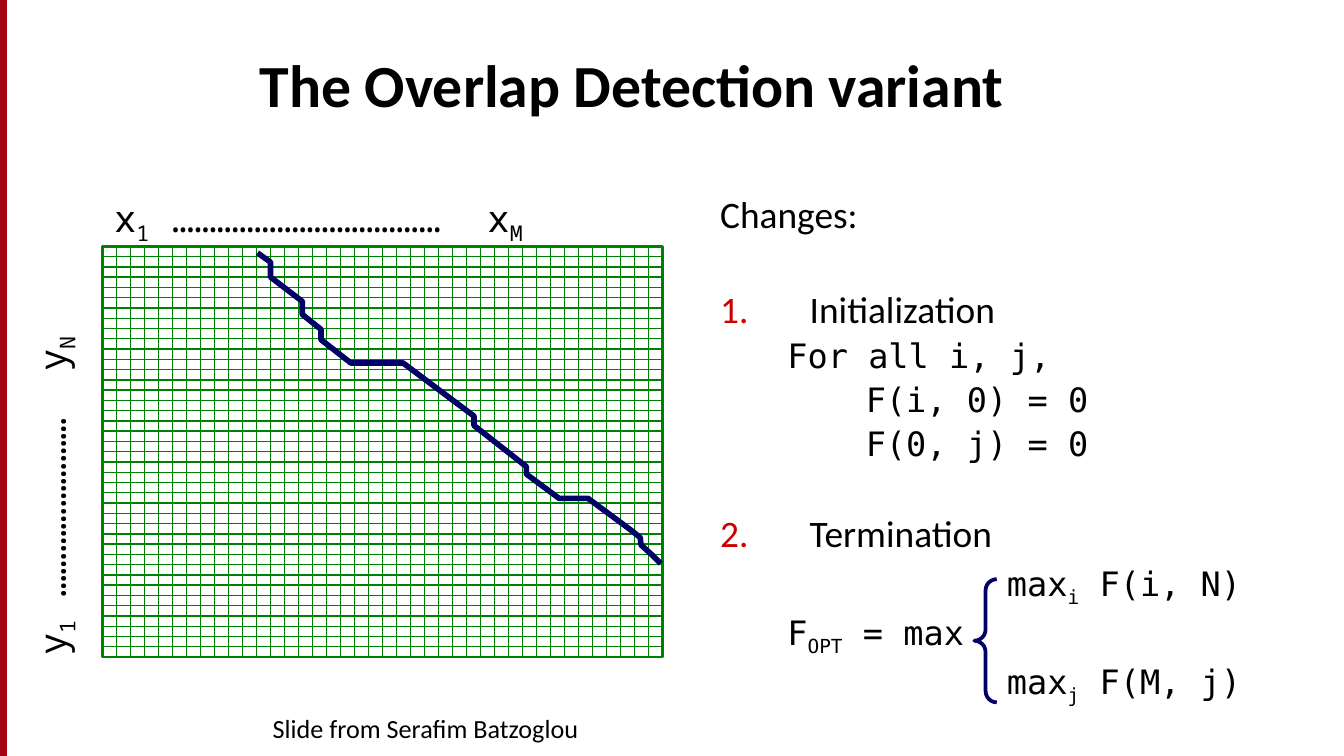
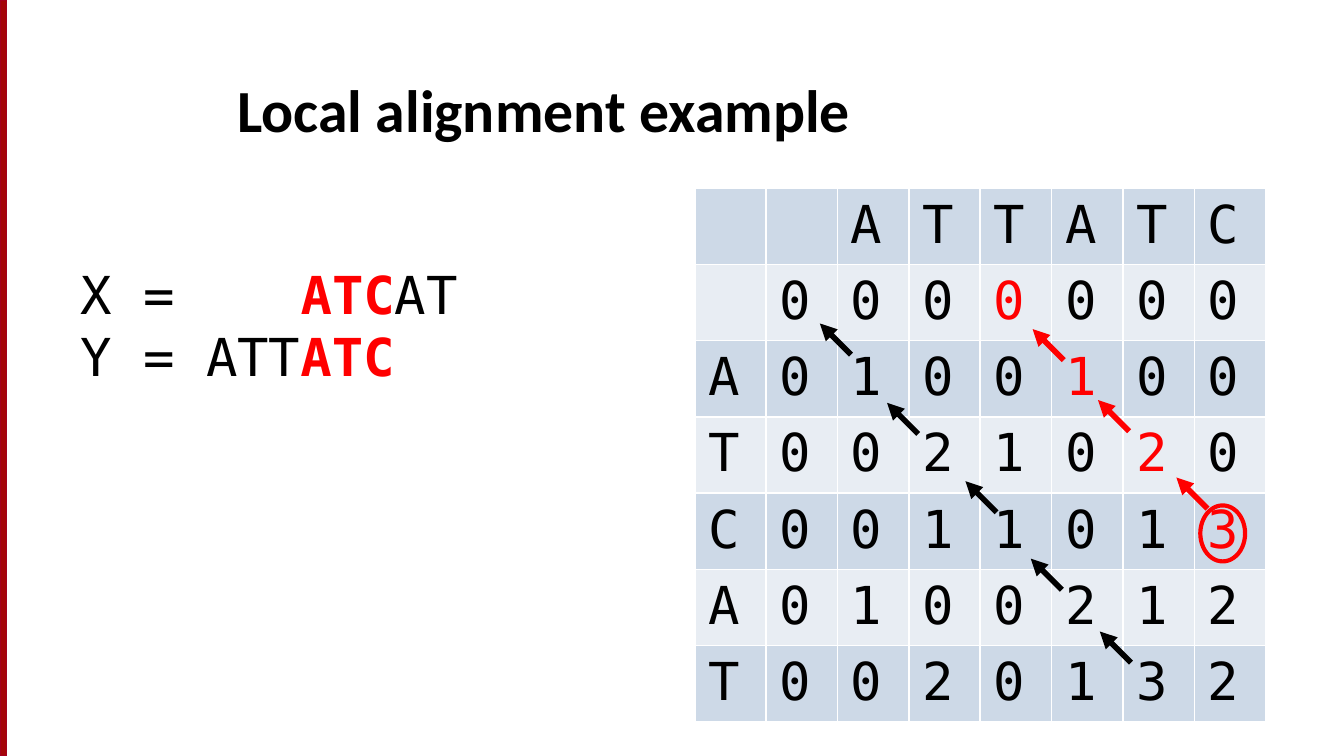
from lxml import etree
from pptx import Presentation
from pptx.dml.color import RGBColor
from pptx.enum.shapes import MSO_CONNECTOR, MSO_SHAPE
from pptx.enum.text import MSO_ANCHOR, PP_ALIGN
from pptx.oxml.ns import qn
from pptx.util import Pt

BLACK = RGBColor(0x00, 0x00, 0x00)
WHITE = RGBColor(0xFF, 0xFF, 0xFF)
RED = RGBColor(0xFF, 0x00, 0x00)
NUMBER_RED = RGBColor(0xCC, 0x00, 0x00)
BAND_FILL = RGBColor(0xA4, 0x05, 0x08)
BAND_LINE = RGBColor(0xA4, 0x00, 0x1D)
GREEN = RGBColor(0x00, 0x80, 0x00)
NAVY = RGBColor(0x00, 0x00, 0x66)
ROW_DARK = RGBColor(0xCD, 0xD9, 0xE7)
ROW_LIGHT = RGBColor(0xE8, 0xED, 0xF3)

RECTANGLE, ELLIPSE, LEFT_BRACE = MSO_SHAPE.RECTANGLE, MSO_SHAPE.OVAL, MSO_SHAPE.LEFT_BRACE
STRAIGHT = MSO_CONNECTOR.STRAIGHT
TOP, BOTTOM = MSO_ANCHOR.TOP, MSO_ANCHOR.BOTTOM
LEFT, CENTER = PP_ALIGN.LEFT, PP_ALIGN.CENTER

SANS, CODE, AXIS = "Calibri", "DejaVu Sans Mono", "Noto Sans Mono"
SLIDE_WIDTH, SLIDE_HEIGHT = 720, 405
GRID_CELLS = 40
ARROW_REACH = 16.7

# Alignment path, from the lower right, relative to the grid
PATH = [(299, 170), (294, 165), (288.5, 160), (288, 156), (283, 152), (260, 135),
        (244.5, 135), (227, 122), (227, 118), (199, 96), (199, 91), (161, 62.5),
        (133, 62.5), (117, 50), (117, 44.5), (107, 36.5), (107, 29.5), (90, 16.5),
        (90, 8.5), (83, 3.5)]

SCORES = ["  ATTATC", " 0000000", "A0100100", "T0021020", "C0011013", "A0100212", "T0020132"]
BEST_CELLS = {(1, 4), (2, 5), (3, 6), (4, 7)}
# Arrow tips, relative to the table
RED_TIPS = [(258, 155), (216, 113.5), (181, 75.5)]
BLACK_TIPS = [(217, 237.5), (180, 198.5), (145, 157), (103, 115), (67, 72.5)]


def add_run(paragraph, text, font, size, color=BLACK, bold=False, subscript=False):
    run = paragraph.add_run()
    run.text = text
    run.font.name, run.font.size, run.font.bold = font, Pt(size), bold
    run.font.color.rgb = color
    if subscript:
        run.font._element.set("baseline", "-25000")


def add_text_box(slide, box, anchor=TOP):
    shape = slide.shapes.add_textbox(*map(Pt, box))
    shape.text_frame.word_wrap = True
    shape.text_frame.vertical_anchor = anchor
    return shape


def add_child(parent, tag, **attributes):
    child = etree.SubElement(parent, qn(tag))
    for name, value in attributes.items():
        child.set(name, str(value))
    return child


def set_indent(paragraph, left, number=None):
    """Indent a paragraph; a number hangs in the indent."""
    properties = paragraph._p.get_or_add_pPr()
    properties.set("marL", str(Pt(left)))
    properties.set("indent", str(Pt(-left) if number else 0))
    if number:
        add_child(add_child(properties, "a:buClr"), "a:srgbClr", val=NUMBER_RED)
        add_child(properties, "a:buAutoNum", type="arabicPeriod", startAt=number)


def set_tab(paragraph, position):
    tabs = add_child(paragraph._p.get_or_add_pPr(), "a:tabLst")
    add_child(tabs, "a:tab", pos=Pt(position), algn="l")


def style_outline(shape, color, width, fill=None):
    shape.shadow.inherit = False
    if fill is None:
        shape.fill.background()
    else:
        shape.fill.solid()
        shape.fill.fore_color.rgb = fill
    shape.line.color.rgb, shape.line.width = color, Pt(width)


def add_outline(slide, kind, box, color, width, fill=None):
    shape = slide.shapes.add_shape(kind, *map(Pt, box))
    style_outline(shape, color, width, fill)
    return shape


def add_line(slide, start, end, color, width, arrow=False):
    line = slide.shapes.add_connector(STRAIGHT, *map(Pt, start + end))
    line.line.color.rgb, line.line.width = color, Pt(width)
    if arrow:
        add_child(line.line._get_or_add_ln(), "a:tailEnd", type="triangle")
    add_child(line._element.spPr, "a:effectLst")


def start_slide(presentation, title, title_box):
    """Blank slide with the red edge band and a title."""
    slide = presentation.slides.add_slide(presentation.slide_layouts[6])
    add_outline(slide, RECTANGLE, (0, 0, 3.5, SLIDE_HEIGHT), BAND_LINE, 0.75, BAND_FILL)
    shape = add_text_box(slide, title_box, BOTTOM)
    add_run(shape.text_frame.paragraphs[0], title, SANS, 32, bold=True)
    return slide


def add_grid(slide, box):
    left, top, width, height = box
    right, bottom = left + width, top + height
    add_outline(slide, RECTANGLE, box, GREEN, 1.5)
    for index in range(1, GRID_CELLS):
        x = left + width * index / GRID_CELLS
        y = top + height * index / GRID_CELLS
        add_line(slide, (left, y), (right, y), GREEN, 0.75)
        add_line(slide, (x, top), (x, bottom), GREEN, 0.75)
    # Alignment path
    points = [(Pt(left + x), Pt(top + y)) for x, y in PATH]
    builder = slide.shapes.build_freeform(*points[0])
    builder.add_line_segments(points[1:], close=False)
    style_outline(builder.convert_to_shape(), NAVY, 3)


def add_axis_label(slide, box, letter, last, dots, tab, rotation=0):
    shape = add_text_box(slide, box)
    shape.rotation = rotation
    paragraph = shape.text_frame.paragraphs[0]
    set_tab(paragraph, tab)
    add_run(paragraph, letter, AXIS, 20)
    add_run(paragraph, "1", AXIS, 20, subscript=True)
    add_run(paragraph, " " + "…" * dots + "\t" + letter, AXIS, 20)
    add_run(paragraph, last, AXIS, 20, subscript=True)


def add_changes(slide, box):
    left, top, _, _ = box
    frame = add_text_box(slide, box).text_frame
    # Left indent, space before, number, text parts (every second part is a subscript)
    lines = [
        (0, 4, None, ["Changes:"]),
        (48, 29.5, 1, ["Initialization"]),
        (36, 4.2, None, ["For all i, j,"]),
        (78, 4.2, None, ["F(i, 0) = 0"]),
        (78, 4.2, None, ["F(0, j) = 0"]),
        (48, 27.3, 2, ["Termination"]),
        (153.6, 4.2, None, ["max", "i", " F(i, N)"]),
        (36, 4.2, None, ["F", "OPT", " = max"]),
        (153.6, 4.2, None, ["max", "j", " F(M, j)"]),
    ]
    for index, (indent, before, number, parts) in enumerate(lines):
        paragraph = frame.add_paragraph() if index else frame.paragraphs[0]
        set_indent(paragraph, indent, number)
        paragraph.line_spacing, paragraph.space_before = 0.9, Pt(before)
        font, size = (SANS, 20) if number or index == 0 else (CODE, 18)
        for position, part in enumerate(parts):
            add_run(paragraph, part, font, size, subscript=position % 2 == 1)
    # Brace around the two maxima
    brace = add_outline(slide, LEFT_BRACE, (left + 143.3, top + 208.8, 12, 66), NAVY, 2)
    brace.adjustments[0] = brace.adjustments[1] = 0.5


def build_overlap_slide(presentation):
    slide = start_slide(presentation, "The Overlap Detection variant", (132, 0, 612, 67.5))
    add_changes(slide, (378.7, 101.5, 317, 290))
    caption = add_text_box(slide, (114, 378, 228, 27)).text_frame.paragraphs[0]
    caption.alignment = CENTER
    add_run(caption, "Slide from Serafim Batzoglou", SANS, 14)
    add_grid(slide, (55, 132, 300, 220))
    add_axis_label(slide, (54, 101, 312, 31.5), "x", "M", 12, 200)
    add_axis_label(slide, (-88, 227, 231, 31.5), "y", "N", 8, 152, rotation=270)


def style_cell(cell, fill):
    cell.fill.solid()
    cell.fill.fore_color.rgb = fill
    properties = cell._tc.get_or_add_tcPr()
    for index, tag in enumerate(("a:lnL", "a:lnR", "a:lnT", "a:lnB")):
        border = etree.Element(qn(tag), w=str(Pt(1)))
        add_child(add_child(border, "a:solidFill"), "a:srgbClr", val=WHITE)
        properties.insert(index, border)


def add_score_table(slide, box):
    left, top, width, height = box
    rows, columns = len(SCORES), len(SCORES[0])
    table = slide.shapes.add_table(rows, columns, *map(Pt, box)).table
    for column in table.columns:
        column.width = Pt(width / columns)
    for row_index, letters in enumerate(SCORES):
        table.rows[row_index].height = Pt(height / rows)
        for column_index, letter in enumerate(letters):
            cell = table.cell(row_index, column_index)
            style_cell(cell, ROW_LIGHT if row_index % 2 else ROW_DARK)
            if letter != " ":
                color = RED if (row_index, column_index) in BEST_CELLS else BLACK
                add_run(cell.text_frame.paragraphs[0], letter, CODE, 28, color)
    # Traceback arrows
    for color, tips in ((RED, RED_TIPS), (BLACK, BLACK_TIPS)):
        for x, y in tips:
            tip = (left + x, top + y)
            add_line(slide, (tip[0] + ARROW_REACH, tip[1] + ARROW_REACH), tip, color, 3, arrow=True)
    # Ring around the best score
    add_outline(slide, ELLIPSE, (left + 270.8, top + 170, 24, 30), RED, 2.25)


def add_sequences(slide, box):
    frame = add_text_box(slide, box).text_frame
    first, second = frame.paragraphs[0], frame.add_paragraph()
    set_tab(first, 118)
    for paragraph, before, after in ((first, "X =\t", "AT"), (second, "Y = ATT", "")):
        paragraph.alignment = LEFT
        add_run(paragraph, before, CODE, 28)
        add_run(paragraph, "ATC", CODE, 28, RED, bold=True)
        if after:
            add_run(paragraph, after, CODE, 28)


def build_local_slide(presentation):
    slide = start_slide(presentation, "Local alignment example", (120, 22.5, 588, 58.5))
    add_score_table(slide, (372.2, 100.8, 306, 277.9))
    add_sequences(slide, (36, 136.8, 234, 104.4))


def main():
    presentation = Presentation()
    presentation.slide_width, presentation.slide_height = Pt(SLIDE_WIDTH), Pt(SLIDE_HEIGHT)
    build_overlap_slide(presentation)
    build_local_slide(presentation)
    presentation.save("out.pptx")


if __name__ == "__main__":
    main()
